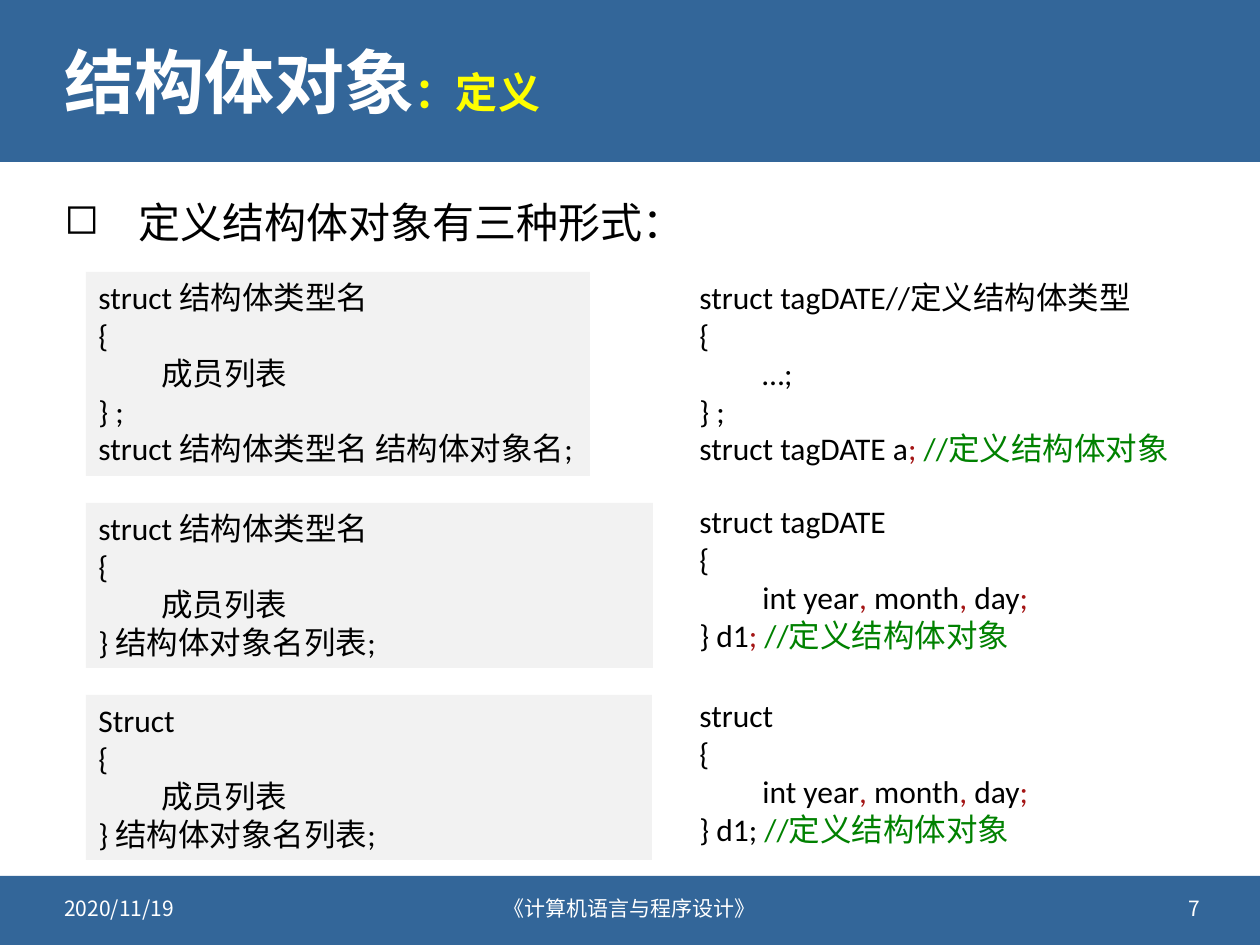
from lxml import etree
from pptx import Presentation, util as u
from pptx.dml.color import RGBColor
from pptx.enum import shapes, text
from pptx.oxml.ns import qn

BLUE = RGBColor(0x33, 0x66, 0x99)
WHITE = RGBColor(0xFF, 0xFF, 0xFF)
YELLOW = RGBColor(0xFF, 0xFF, 0x00)
BLACK = RGBColor(0, 0, 0)
GREY = RGBColor(0xF2, 0xF2, 0xF2)
RED = RGBColor(0xA4, 0x15, 0x15)
GREEN = RGBColor(0x00, 0x81, 0x00)
CJK, LATIN = "Noto Sans CJK SC", "Calibri"
LEFT, CENTER, RIGHT = text.PP_ALIGN.LEFT, text.PP_ALIGN.CENTER, text.PP_ALIGN.RIGHT

# Content: a line is a list of (words, colour); a tab marks an indented line
TITLE = [("结构体对象", WHITE, 40), ("：定义", YELLOW, 24)]
HEADING = "定义结构体对象有三种形式："
FOOTERS = [  # left, width, words, alignment
    (52, 302, "2020/11/19", LEFT),
    (403, 454, "《计算机语言与程序设计》", CENTER),
    (911, 302, "7", RIGHT),
]
MEMBERS = [("\tint year", BLACK), (", ", RED), ("month", BLACK),
           (", ", RED), ("day", BLACK), (";", RED)]
COMMENT = ("//定义结构体对象", GREEN)


def plain(*lines):
    return [[(line, BLACK)] for line in lines]


FORMS = [  # syntax (top, width, height, wrap, lines), example (top, height, lines)
    ((272, 504, 204, False,
      plain("struct 结构体类型名", "{", "\t成员列表", "} ;",
            "struct 结构体类型名 结构体对象名;")),
     (272, 204,
      plain("struct tagDATE//定义结构体类型", "{", "\t…;", "} ;")
      + [[("struct tagDATE a", BLACK), ("; ", RED), COMMENT]])),
    ((503, 567, 165, True,
      plain("struct 结构体类型名", "{", "\t成员列表", "} 结构体对象名列表;")),
     (496, 165,
      plain("struct tagDATE", "{")
      + [MEMBERS, [("} d1", BLACK), ("; ", RED), COMMENT]])),
    ((695, 566, 165, True,
      plain("Struct", "{", "\t成员列表", "} 结构体对象名列表;")),
     (690, 165,
      plain("struct", "{")
      + [MEMBERS, [("} d1; ", BLACK), COMMENT]])),
]
SYNTAX_X, EXAMPLE_X, EXAMPLE_W = 86, 687, 525
CODE_INDENT, BULLET_INDENT = 63, 74


def px(n):
    return u.Emu(round(n * 914400 / 126))


def block(left, top, width, height, fill):
    shape = slide.shapes.add_shape(
        shapes.MSO_SHAPE.RECTANGLE, px(left), px(top), px(width), px(height))
    shape.shadow.inherit = False
    shape.fill.solid()
    shape.fill.fore_color.rgb = fill
    shape.line.fill.background()
    return shape


def text_frame(left, top, width, height, anchor=text.MSO_ANCHOR.TOP):
    box = slide.shapes.add_textbox(px(left), px(top), px(width), px(height))
    box.text_frame.word_wrap = True
    box.text_frame.vertical_anchor = anchor
    return box.text_frame


def style(paragraph, size, font, align=LEFT):
    paragraph.alignment = align
    paragraph.font.size = u.Pt(size)
    paragraph.font.name = font
    defaults = paragraph._p.pPr.find(qn("a:defRPr"))
    etree.SubElement(defaults, qn("a:ea")).set("typeface", CJK)


def add_run(paragraph, words, color):
    run = paragraph.add_run()
    run.text = words
    run.font.color.rgb = color
    return run


def write_code(frame, lines):
    frame.vertical_anchor = text.MSO_ANCHOR.TOP
    frame.auto_size = text.MSO_AUTO_SIZE.SHAPE_TO_FIT_TEXT
    for i, line in enumerate(lines):
        paragraph = frame.add_paragraph() if i else frame.paragraphs[0]
        style(paragraph, 18, LATIN)
        if line[0][0].startswith("\t"):
            paragraph.level = 1
            paragraph._p.pPr.set("marL", str(px(CODE_INDENT)))
            paragraph._p.pPr.set("indent", "0")
        for words, color in line:
            add_run(paragraph, words.lstrip("\t"), color)


prs = Presentation()
prs.slide_width, prs.slide_height = px(1260), px(945)
slide = prs.slides.add_slide(prs.slide_layouts[6])

# Bands
block(0, 0, 1260, 162, BLUE)
block(0, 876, 1260, 69, BLUE)

# Heading with square bullet
heading = text_frame(52, 185, 1158, 665).paragraphs[0]
heading.line_spacing = 1.1
heading_props = heading._p.get_or_add_pPr()
heading_props.set("marL", str(px(BULLET_INDENT)))
heading_props.set("indent", str(-px(BULLET_INDENT)))
bullet_color = etree.SubElement(heading_props, qn("a:buClr"))
etree.SubElement(bullet_color, qn("a:srgbClr")).set("val", str(BLACK))
etree.SubElement(heading_props, qn("a:buChar")).set("char", "◻")
style(heading, 24, CJK)
add_run(heading, HEADING, BLACK)

# Title
title = text_frame(52, 23, 1158, 125, text.MSO_ANCHOR.MIDDLE).paragraphs[0]
title.line_spacing = 0.9
style(title, 40, CJK)
title.font.bold = True
for words, color, size in TITLE:
    add_run(title, words, color).font.size = u.Pt(size)

# Footer
for left, width, words, align in FOOTERS:
    footer = text_frame(left, 883, width, 50, text.MSO_ANCHOR.MIDDLE).paragraphs[0]
    style(footer, 12, CJK, align)
    add_run(footer, words, WHITE)

# Three forms: syntax on the left, example on the right
for (top, width, height, wrap, lines), (example_top, example_h, example) in FORMS:
    syntax = block(SYNTAX_X, top, width, height, GREY).text_frame
    syntax.word_wrap = wrap
    write_code(syntax, lines)
    write_code(text_frame(EXAMPLE_X, example_top, EXAMPLE_W, example_h), example)

prs.save("out.pptx")
